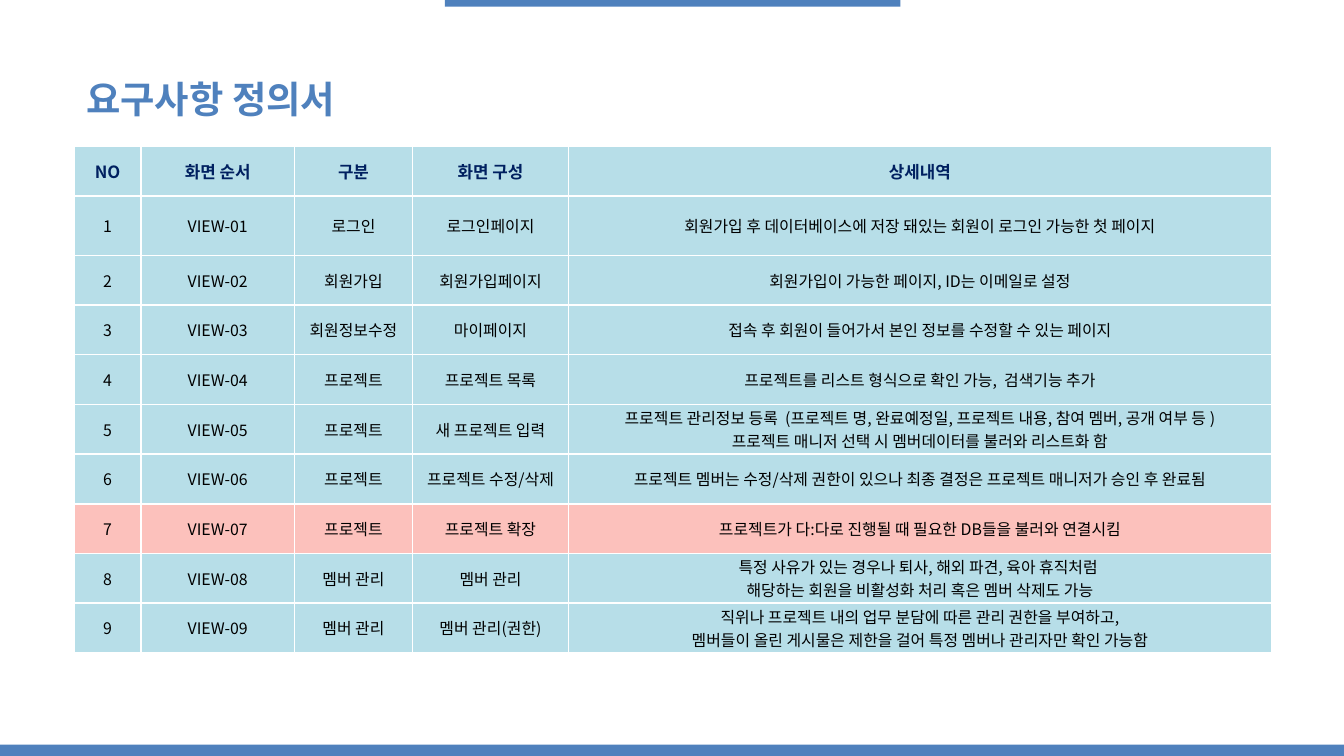
import pptx
import pptx.dml.color
import pptx.enum.shapes
import pptx.enum.text
import pptx.oxml
import pptx.oxml.ns
import pptx.util
from pptx.util import Inches

RGBColor = pptx.dml.color.RGBColor
BLUE = RGBColor(0x4F, 0x81, 0xBD)
NAVY = RGBColor(0x00, 0x20, 0x60)
BLACK = RGBColor(0x00, 0x00, 0x00)
WHITE = RGBColor(0xFF, 0xFF, 0xFF)
PALE_BLUE = RGBColor(0xB7, 0xDE, 0xE8)
PINK = RGBColor(0xFC, 0xC1, 0xBC)

FONT = "Noto Sans CJK KR"
COLUMN_WIDTHS = [0.5, 1.14, 0.88, 1.16, 5.23]
FIRST_HEIGHT, ROW_HEIGHT = 0.44, 0.37
HIGHLIGHTED_NO = 7

HEADINGS = ["NO", "화면 순서", "구분", "화면 구성", "상세내역"]
# Category, screen, details; number and view code follow from the order
REQUIREMENTS = [
    ("로그인", "로그인페이지",
     "회원가입 후 데이터베이스에 저장 돼있는 회원이 로그인 가능한 첫 페이지"),
    ("회원가입", "회원가입페이지", "회원가입이 가능한 페이지, ID는 이메일로 설정"),
    ("회원정보수정", "마이페이지",
     "접속 후 회원이 들어가서 본인 정보를 수정할 수 있는 페이지"),
    ("프로젝트", "프로젝트 목록",
     "프로젝트를 리스트 형식으로 확인 가능,  검색기능 추가"),
    ("프로젝트", "새 프로젝트 입력",
     "프로젝트 관리정보 등록  (프로젝트 명, 완료예정일, 프로젝트 내용, 참여 멤버, 공개 여부 등 )\n"
     "프로젝트 매니저 선택 시 멤버데이터를 불러와 리스트화 함"),
    ("프로젝트", "프로젝트 수정/삭제",
     "프로젝트 멤버는 수정/삭제 권한이 있으나 최종 결정은 프로젝트 매니저가 승인 후 완료됨"),
    ("프로젝트", "프로젝트 확장",
     "프로젝트가 다:다로 진행될 때 필요한 DB들을 불러와 연결시킴"),
    ("멤버 관리", "멤버 관리",
     "특정 사유가 있는 경우나 퇴사, 해외 파견, 육아 휴직처럼 \n"
     "해당하는 회원을 비활성화 처리 혹은 멤버 삭제도 가능"),
    ("멤버 관리", "멤버 관리(권한)",
     "직위나 프로젝트 내의 업무 분담에 따른 관리 권한을 부여하고,\n"
     "멤버들이 올린 게시물은 제한을 걸어 특정 멤버나 관리자만 확인 가능함"),
]


def format_text(frame, size, color, bold, alignment):
    for paragraph in frame.paragraphs:
        paragraph.alignment = alignment
        font = paragraph.font
        font.name = FONT
        font.size = pptx.util.Pt(size)
        font.bold = bold
        font.color.rgb = color
        # Korean glyphs take the East Asian typeface
        defaults = paragraph._p.pPr.find(pptx.oxml.ns.qn("a:defRPr"))
        defaults.append(pptx.oxml.parse_xml(
            f'<a:ea {pptx.oxml.ns.nsdecls("a")} typeface="{FONT}"/>'))


def add_bar(slide, left, top, width, height):
    bar = slide.shapes.add_shape(
        pptx.enum.shapes.MSO_SHAPE.RECTANGLE,
        Inches(left), Inches(top), Inches(width), Inches(height))
    bar.shadow.inherit = False
    bar.fill.solid()
    bar.fill.fore_color.rgb = BLUE
    bar.line.fill.background()


def set_title(slide, text):
    title = slide.shapes.title
    title.left, title.top = Inches(0.54), Inches(0.52)
    title.width, title.height = Inches(3.71), Inches(0.44)
    frame = title.text_frame
    frame.text = text
    frame.word_wrap = True
    frame.auto_size = pptx.enum.text.MSO_AUTO_SIZE.SHAPE_TO_FIT_TEXT
    frame.vertical_anchor = pptx.enum.text.MSO_ANCHOR.TOP
    format_text(frame, 20, BLUE, True, pptx.enum.text.PP_ALIGN.LEFT)


def set_borders(cell):
    properties = cell._tc.get_or_add_tcPr()
    for side in "LRTB":
        properties.append(pptx.oxml.parse_xml(
            f'<a:ln{side} {pptx.oxml.ns.nsdecls("a")} w="12700"><a:solidFill>'
            f'<a:srgbClr val="{WHITE}"/></a:solidFill></a:ln{side}>'))


def fill_cell(cell, text, fill, size, color, bold):
    cell.text = text
    cell.vertical_anchor = pptx.enum.text.MSO_ANCHOR.MIDDLE
    cell.margin_left = cell.margin_right = 0
    cell.margin_top = cell.margin_bottom = 0
    set_borders(cell)
    cell.fill.solid()
    cell.fill.fore_color.rgb = fill
    format_text(cell.text_frame, size, color, bold,
                pptx.enum.text.PP_ALIGN.CENTER)


def add_requirements_table(slide):
    records = [HEADINGS] + [
        (str(no), f"VIEW-{no:02}", *details)
        for no, details in enumerate(REQUIREMENTS, start=1)]
    heights = [ROW_HEIGHT] * len(records)
    heights[1] = FIRST_HEIGHT
    table = slide.shapes.add_table(
        len(records), len(HEADINGS), Inches(0.55), Inches(1.09),
        Inches(sum(COLUMN_WIDTHS)), Inches(sum(heights))).table
    table.horz_banding = False

    for column, width in zip(table.columns, COLUMN_WIDTHS):
        column.width = Inches(width)
    for no, (row, height, record) in enumerate(
            zip(table.rows, heights, records)):
        row.height = Inches(height)
        fill = PINK if no == HIGHLIGHTED_NO else PALE_BLUE
        style = (9, NAVY, True) if no == 0 else (8.5, BLACK, False)
        for cell, text in zip(row.cells, record):
            fill_cell(cell, text, fill, *style)


def main():
    presentation = pptx.Presentation()
    # Widescreen, 16:9
    presentation.slide_width = Inches(10)
    presentation.slide_height = Inches(10 * 9 / 16)
    slide = presentation.slides.add_slide(presentation.slide_layouts[5])

    # Top and bottom accent bars
    add_bar(slide, 3.31, 0, 3.39, 0.05)
    add_bar(slide, 0, 5.54, 10, 0.09)

    # Heading and requirements
    set_title(slide, "요구사항 정의서")
    add_requirements_table(slide)

    presentation.save("out.pptx")


if __name__ == "__main__":
    main()
